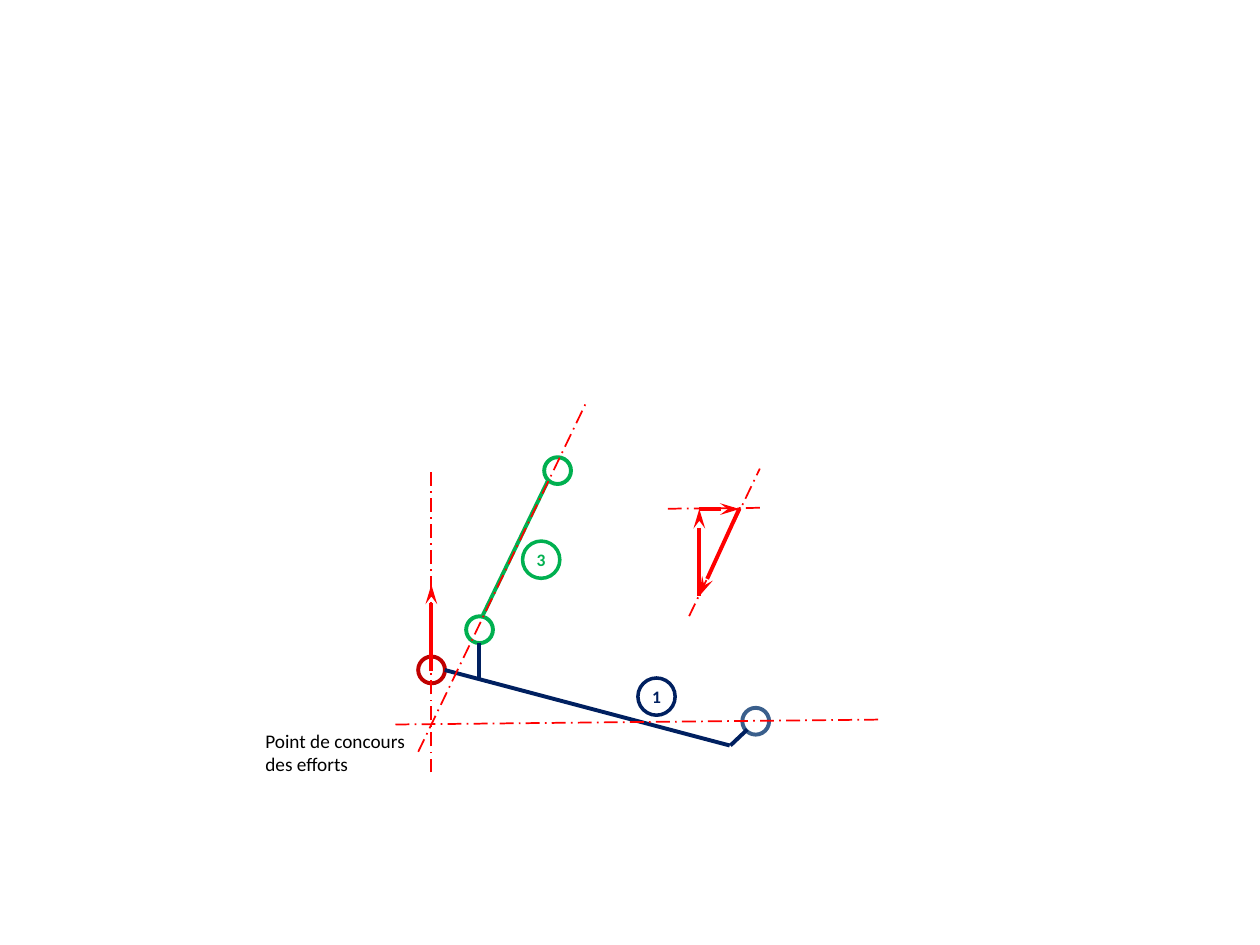
from lxml import etree
from pptx import Presentation
from pptx.dml.color import RGBColor
from pptx.enum.dml import MSO_LINE
from pptx.enum.shapes import MSO_CONNECTOR, MSO_SHAPE
from pptx.enum.text import MSO_ANCHOR, PP_ALIGN
from pptx.oxml.ns import qn
from pptx.util import Pt

STRAIGHT = MSO_CONNECTOR.STRAIGHT
ELLIPSE = MSO_SHAPE.OVAL
DASH_DOT = MSO_LINE.LONG_DASH_DOT
MIDDLE = MSO_ANCHOR.MIDDLE
CENTER = PP_ALIGN.CENTER

FONT = "Calibri"
COLORS = {
    "force": "FF0000",
    "pivot": "C00000",
    "strut": "00B050",
    "lever": "002060",
    "joint": "3A5F8C",
    "text": "000000",
}

prs = Presentation()
prs.slide_width, prs.slide_height = Pt(720), Pt(540)
slide = prs.slides.add_slide(prs.slide_layouts[6])


def add_circle(left, top, size, color, width):
    circle = slide.shapes.add_shape(ELLIPSE, Pt(left), Pt(top), Pt(size), Pt(size))
    circle.shadow.inherit = False
    circle.fill.background()
    circle.line.color.rgb = RGBColor.from_string(COLORS[color])
    circle.line.width = Pt(width)
    return circle


def add_line(start, end, color, width):
    line = slide.shapes.add_connector(STRAIGHT, *(Pt(v) for v in start + end))
    line.line.color.rgb = RGBColor.from_string(COLORS[color])
    line.line.width = Pt(width)
    etree.SubElement(line._element.spPr, qn("a:effectLst"))
    return line


# Joints of the mechanism
for left, top, color in [
    (239, 375.2, "pivot"),
    (266.4, 352.2, "strut"),
    (424.2, 404.5, "joint"),
    (311, 261.3, "strut"),
]:
    add_circle(left, top, 15.3, color, 2.25)

# Lever 1 and strut 3
for start, end, color in [
    ((254.2, 382.9), (417, 426), "lever"),
    ((273.8, 367.4), (273.8, 387.6), "lever"),
    ((427, 416.9), (417.4, 426), "lever"),
    ((275.9, 351.6), (313.2, 274.5), "strut"),
]:
    add_line(start, end, color, 2.25)

# Part numbers
for left, top, number, color in [
    (364.5, 387.4, "1", "lever"),
    (298.6, 309.2, "3", "strut"),
]:
    frame = add_circle(left, top, 21.3, color, 2).text_frame
    frame.margin_left = frame.margin_right = frame.margin_top = frame.margin_bottom = 0
    frame.vertical_anchor = MIDDLE
    frame.paragraphs[0].alignment = CENTER
    run = frame.paragraphs[0].add_run()
    run.text = number
    run.font.name, run.font.size, run.font.bold = FONT, Pt(10), True
    run.font.color.rgb = RGBColor.from_string(COLORS[color])

# Lines of action, on the mechanism and on the force triangle
for start, end in [
    ((239, 429.6), (335, 230)),
    ((246.5, 441.4), (246.5, 268)),
    ((501.8, 411.2), (225.6, 414)),
    ((393.8, 352.1), (434.2, 267.8)),
    ((434.2, 290.2), (381.6, 290.7)),
]:
    add_line(start, end, "force", 1).line.dash_style = DASH_DOT

# Force arrows
for start, end, arrow_end in [
    ((246.5, 334.1), (246.5, 383.6), "headEnd"),
    ((422.6, 290.4), (399.6, 340.6), "tailEnd"),
    ((399.6, 290.9), (399.6, 340.6), "headEnd"),
    ((422.6, 290.9), (399.6, 290.9), "headEnd"),
]:
    arrow = add_line(start, end, "force", 2.25)
    etree.SubElement(arrow.line._get_or_add_ln(), qn(f"a:{arrow_end}"),
                     type="stealth", w="med", len="lg")

# Caption of the concurrency point
caption = slide.shapes.add_textbox(Pt(144.5), Pt(413.2), Pt(109.4), Pt(33.9)).text_frame
caption.word_wrap = True
run = caption.paragraphs[0].add_run()
run.text = "Point de concours des efforts"
run.font.name, run.font.size = FONT, Pt(11)
run.font.color.rgb = RGBColor.from_string(COLORS["text"])

prs.save("out.pptx")
